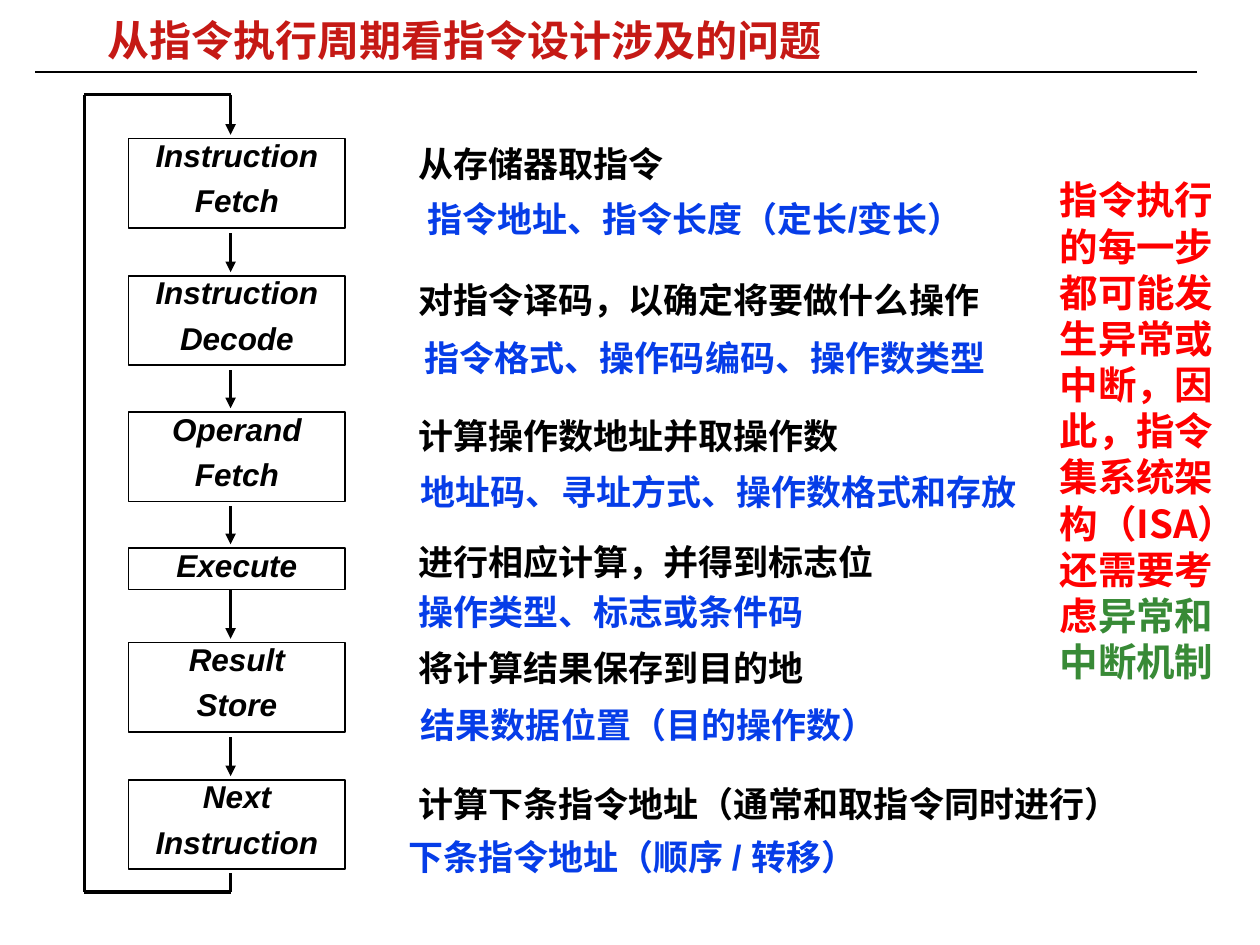
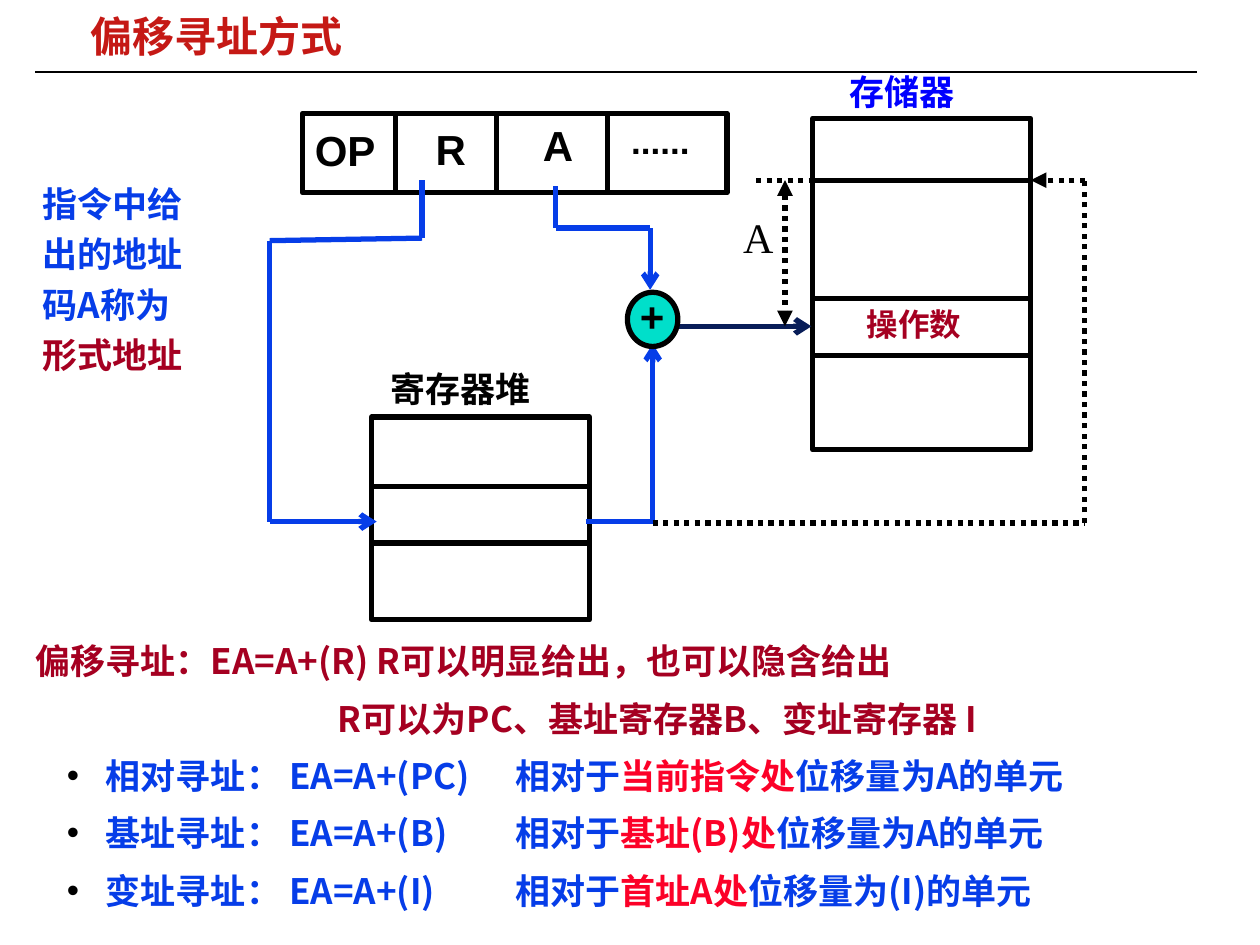
import lxml.etree
import pptx
import pptx.dml.color
import pptx.enum.dml
import pptx.enum.shapes
import pptx.enum.text
import pptx.oxml.ns
import pptx.util

Inches = pptx.util.Inches
Pt = pptx.util.Pt
SHAPE = pptx.enum.shapes.MSO_SHAPE
ALIGN = pptx.enum.text.PP_ALIGN
CJK = "Noto Sans CJK SC"
SERIF = "Times New Roman"
HUES = {
    "ink": "000000", "title": "C51915", "blue": "063DE8", "navy": "081D58",
    "pure": "0000FF", "wine": "A50021", "red": "FF0000", "rose": "FC0128",
    "green": "388A36", "teal": "00DFCA",
}

STEPS = [
    (1.10, ["Instruction", "Fetch"], 1.10, "从存储器取指令",
     3.32, 1.52, "指令地址、指令长度（定长/变长）"),
    (2.19, ["Instruction", "Decode"], 2.18, "对指令译码，以确定将要做什么操作",
     3.30, 2.63, "指令格式、操作码编码、操作数类型"),
    (3.27, ["Operand", "Fetch"], 3.26, "计算操作数地址并取操作数",
     3.27, 3.69, "地址码、寻址方式、操作数格式和存放"),
    (4.35, ["Execute"], 4.26, "进行相应计算，并得到标志位",
     3.25, 4.64, "操作类型、标志或条件码"),
    (5.10, ["Result", "Store"], 5.10, "将计算结果保存到目的地",
     3.27, 5.54, "结果数据位置（目的操作数）"),
    (6.19, ["Next", "Instruction"], 6.18, "计算下条指令地址（通常和取指令同时进行）",
     3.17, 6.59, "下条指令地址（顺序 / 转移）"),
]
MODES = [
    ("相对寻址： EA=A+(PC)", "当前指令处", "位移量为A的单元"),
    ("基址寻址： EA=A+(B)", "基址(B)处", "位移量为A的单元"),
    ("变址寻址： EA=A+(I)", "首址A处", "位移量为(I)的单元"),
]


def hue(name):
    """Return the named colour."""
    return pptx.dml.color.RGBColor.from_string(HUES[name])


def add(node, tag, **attrs):
    """Append a drawing element to a node."""
    return lxml.etree.SubElement(node, pptx.oxml.ns.qn("a:" + tag), **attrs)


def write(frame, paras, size=20, font="Arial", color="ink", bold=True,
          slant=False, pitch=None, gap=0, align=None, pad=(0.07, 0.03),
          inset=0, bullet=False):
    """Fill a text frame; a paragraph is a string or a list of (text, colour)."""
    frame.word_wrap = True
    frame.vertical_anchor = pptx.enum.text.MSO_ANCHOR.TOP
    frame.margin_left = frame.margin_right = Inches(pad[0])
    frame.margin_top = frame.margin_bottom = Inches(pad[1])
    for i, runs in enumerate(paras):
        para = frame.add_paragraph() if i else frame.paragraphs[0]
        para.alignment = align
        if pitch:
            para.line_spacing = Pt(round(pitch * size, 1))
        if i:
            para.space_before = Pt(gap)
        props = para._p.get_or_add_pPr()
        if inset:
            props.set("marL", str(Inches(inset)))
        if bullet:
            props.set("indent", str(Inches(-0.31)))
            tint = add(props, "buClr")
            add(tint, "srgbClr", val=HUES["ink"])
            add(props, "buFont", typeface="Arial")
            add(props, "buChar", char="•")
        for words, tone in [(runs, color)] if isinstance(runs, str) else runs:
            run = para.add_run()
            run.text = words
            run.font.size = Pt(size)
            run.font.name = font
            run.font.bold = bold
            run.font.italic = slant
            run.font.color.rgb = hue(tone)
            add(run._r.get_or_add_rPr(), "ea", typeface=CJK)


def label(slide, x, y, w, h, *paras, **style):
    """Add a text box."""
    box = slide.shapes.add_textbox(Inches(x), Inches(y), Inches(w), Inches(h))
    write(box.text_frame, paras, **style)


def block(slide, x, y, w, h, kind=SHAPE.RECTANGLE, fill=None, width=3):
    """Add an outlined shape."""
    shape = slide.shapes.add_shape(
        kind, Inches(x), Inches(y), Inches(w), Inches(h))
    shape.shadow.inherit = False
    if fill:
        shape.fill.solid()
        shape.fill.fore_color.rgb = hue(fill)
    else:
        shape.fill.background()
    shape.line.color.rgb = hue("ink")
    shape.line.width = Pt(width)
    return shape


def wire(slide, *points, color="ink", width=3, dots=False, head=None, tail=None):
    """Join points by straight lines, with arrowheads at the outer ends."""
    last = len(points) - 2
    for i, (start, end) in enumerate(zip(points, points[1:])):
        link = slide.shapes.add_connector(
            pptx.enum.shapes.MSO_CONNECTOR.STRAIGHT,
            *(Inches(v) for v in start + end))
        link.line.color.rgb = hue(color)
        link.line.width = Pt(width)
        if dots:
            link.line.dash_style = pptx.enum.dml.MSO_LINE.ROUND_DOT
        edge = link.line._get_or_add_ln()
        if head and i == 0:
            add(edge, "headEnd", type=head)
        if tail and i == last:
            add(edge, "tailEnd", type=tail)
        add(link._element.spPr, "effectLst")


def start(deck, title, x, y, w):
    """Add a slide with its title and rule."""
    slide = deck.slides.add_slide(deck.slide_layouts[6])
    wire(slide, (0.28, 0.57), (9.5, 0.57), width=1)
    label(slide, x, y, w, 0.4, title, size=24, color="title", pitch=1.1)
    return slide


def cycle(deck):
    """Build the slide on the instruction cycle."""
    slide = start(deck, "从指令执行周期看指令设计涉及的问题", 0.78, 0.12, 7.23)
    mid = 1.83
    base = None
    for top, names, line, task, x, y, issue in STEPS:
        tall = 0.71 if len(names) > 1 else 0.33
        box = block(slide, 1.02, top, 1.72, tall, width=1)
        write(box.text_frame, names, size=18, slant=True, pitch=1, gap=7.8,
              align=ALIGN.CENTER)
        if base:
            wire(slide, (mid, base), (mid, top - 0.03), width=2, tail="triangle")
        base = top + tall + (0.04 if len(names) > 1 else 0)
        label(slide, 3.25, line, 6.1, 0.38, task, font=CJK, pitch=1.2)
        label(slide, x, y, 5.86, 0.39, issue, color="blue", pitch=1.25)
    wire(slide, (mid, 6.93), (mid, 7.08), (0.67, 7.08), (0.67, 0.75),
         (mid, 0.75), (mid, 1.07), width=2, tail="triangle")
    label(slide, 8.34, 1.37, 1.66, 4.13, [
        ("指令执行的每一步都可能发生异常或中断，因此，指令集系统架构（ISA）还需要考虑", "red"),
        ("异常和中断机制", "green")], size=22, font=CJK, pitch=1.2)


def store(slide, x, y, h, rows):
    """Draw a memory block split by row lines."""
    block(slide, x, y, 1.73, h)
    for row in rows:
        wire(slide, (x, row), (x + 1.73, row))


def offset(deck):
    """Build the slide on offset addressing."""
    slide = start(deck, "偏移寻址方式", 0.65, 0.09, 2.51)
    wide = (0.1, 0.05)
    block(slide, 2.4, 0.9, 3.37, 0.63)
    for x in (3.14, 3.94, 4.82):
        wire(slide, (x, 0.9), (x, 1.53))
    for x, y, w, name in ((2.4, 0.94, 0.87, "OP"), (3.36, 0.93, 0.46, "R"),
                          (4.21, 0.9, 0.46, "A")):
        label(slide, x, y, w, 0.5, name, size=24, pad=wide)
    label(slide, 4.94, 0.92, 0.84, 0.39, "......")

    store(slide, 6.45, 0.94, 2.63, (1.43, 2.37, 2.82))
    store(slide, 2.95, 3.31, 1.61, (3.86, 4.31))
    for x, y, w, name, size, color in (
            (6.64, 0.5, 1.51, "存储器", 20, "pure"),
            (6.78, 2.36, 1.11, "操作数", 18, "wine"),
            (3.0, 2.85, 1.85, "寄存器堆", 20, "ink")):
        label(slide, x, y, w, 0.43, name, size=size, font=SERIF, color=color,
              pitch=1.25, pad=wide)

    for points in (
            [(3.35, 1.43), (3.35, 1.89), (2.14, 1.91), (2.14, 4.14), (2.99, 4.14)],
            [(4.65, 4.14), (5.18, 4.14), (5.18, 2.73)],
            [(4.41, 1.48), (4.41, 1.81), (5.16, 1.81), (5.16, 2.3)]):
        wire(slide, *points, color="blue", tail="arrow")
    wire(slide, (5.38, 2.59), (6.44, 2.59), color="navy", tail="arrow")
    block(slide, 4.98, 2.32, 0.4, 0.43, SHAPE.OVAL, "teal")
    label(slide, 4.98, 2.26, 0.4, 0.5, "+", size=24, pad=wide)

    wire(slide, (5.18, 4.15), (8.61, 4.15), (8.61, 1.43), (8.18, 1.43),
         dots=True, tail="triangle")
    wire(slide, (6, 1.43), (6.44, 1.43), dots=True)
    wire(slide, (6.23, 1.43), (6.23, 2.59), dots=True,
         head="triangle", tail="triangle")
    label(slide, 5.8, 1.63, 0.57, 0.5, "A", size=24, font=SERIF, bold=False,
          pad=wide)

    notes = dict(font=CJK, pitch=1.44, gap=4)
    label(slide, 0.27, 1.35, 1.39, 1.65,
          [("指令中给出的地址码A称为", "blue"), ("形式地址", "wine")], **notes)
    label(slide, 0.21, 4.98, 9.04, 0.45,
          "偏移寻址：EA=A+(R) R可以明显给出，也可以隐含给出", color="wine", **notes)
    label(slide, 0.21, 5.44, 9.04, 0.45,
          "R可以为PC、基址寄存器B、变址寄存器 I", color="wine", inset=2.4, **notes)
    label(slide, 0.21, 5.89, 3.78, 1.4, *(mode[0] for mode in MODES),
          color="blue", inset=0.56, bullet=True, **notes)
    label(slide, 4.02, 5.89, 5.23, 1.4,
          *([("相对于", "blue"), (place, "rose"), (unit, "blue")]
            for _, place, unit in MODES), **notes)


def main():
    """Build and save the deck."""
    deck = pptx.Presentation()
    deck.slide_width = Inches(10)
    deck.slide_height = Inches(7.5)
    cycle(deck)
    offset(deck)
    deck.save("out.pptx")


if __name__ == "__main__":
    main()
